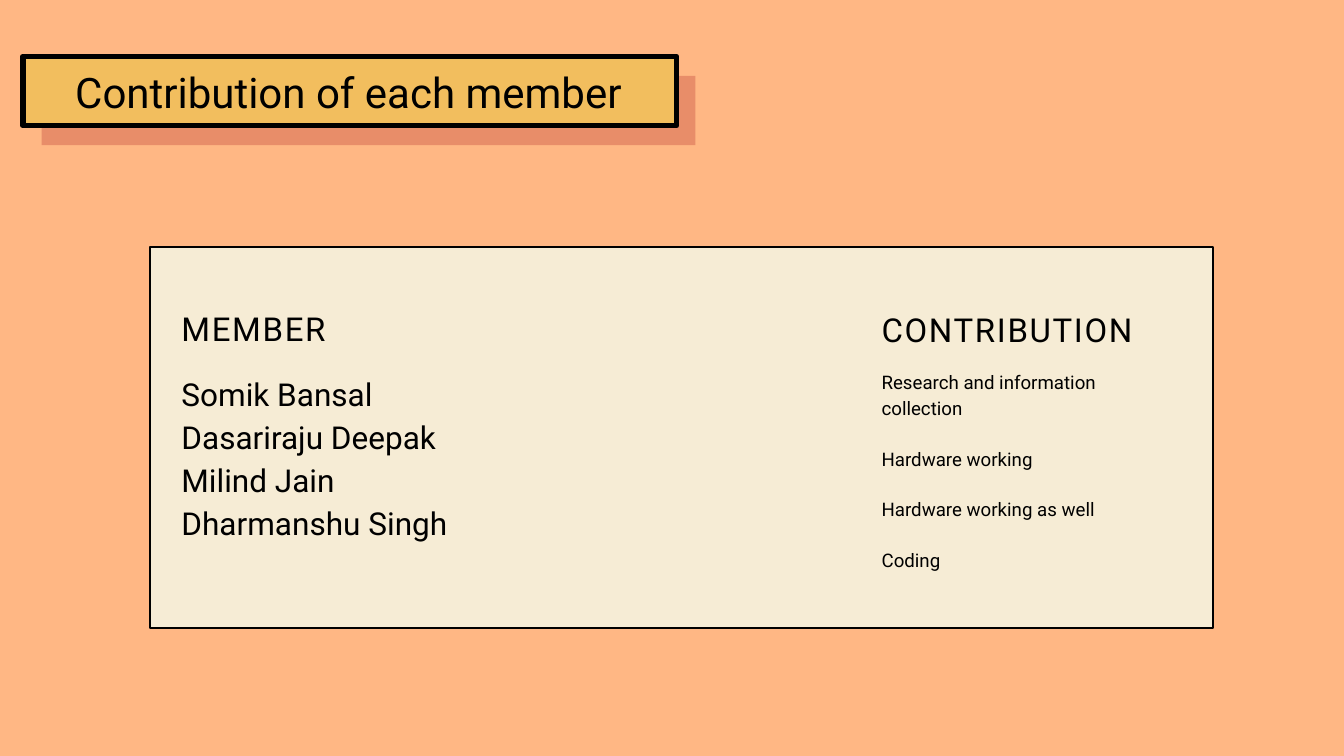
from pptx import Presentation
from pptx.dml.color import RGBColor
from pptx.enum.shapes import MSO_SHAPE
from pptx.enum.text import MSO_ANCHOR, MSO_AUTO_SIZE, PP_ALIGN
from pptx.oxml.ns import qn
from pptx.util import Pt

PEACH = RGBColor(0xFF, 0xB7, 0x84)
CORAL = RGBColor(0xE8, 0x8D, 0x69)
GOLD = RGBColor(0xF2, 0xBE, 0x5E)
CREAM = RGBColor(0xF6, 0xEC, 0xD5)
BLACK = RGBColor(0, 0, 0)
FONT = "Roboto"

MEMBERS = ["Somik Bansal", "Dasariraju Deepak", "Milind Jain", "Dharmanshu Singh"]
TASKS = [
    "Research and information collection",
    "Hardware working",
    "Hardware working as well",
    "Coding",
]


def add_rect(slide, left, top, width, height, fill, line=0):
    rect = slide.shapes.add_shape(
        MSO_SHAPE.RECTANGLE, Pt(left), Pt(top), Pt(width), Pt(height))
    rect.shadow.inherit = False
    rect.fill.solid()
    rect.fill.fore_color.rgb = fill
    if line:
        rect.line.color.rgb = BLACK
        rect.line.width = Pt(line)
    else:
        rect.line.fill.background()


def fill_text(frame, lines, size, pitch, gap=0, track=0):
    frame.margin_left = frame.margin_right = 0
    frame.margin_top = frame.margin_bottom = 0
    frame.word_wrap = True
    frame.auto_size = MSO_AUTO_SIZE.NONE
    frame.vertical_anchor = MSO_ANCHOR.TOP
    frame.text = "\n".join(lines)
    for index, para in enumerate(frame.paragraphs):
        para.alignment = PP_ALIGN.LEFT
        para.line_spacing = Pt(pitch)
        para.space_before = Pt(gap if index else 0)
        font = para.font
        font.name = FONT
        font.size = Pt(size)
        font.color.rgb = BLACK
        if track:
            props = para._p.get_or_add_pPr().find(qn("a:defRPr"))
            props.set("spc", str(track))


def add_text(slide, left, top, width, height, lines, size, pitch, gap=0, track=0):
    box = slide.shapes.add_textbox(Pt(left), Pt(top), Pt(width), Pt(height))
    fill_text(box.text_frame, lines, size, pitch, gap, track)


def add_head(slide, left, top, width, text):
    add_text(slide, left, top, width, 42.4, [text], 35.3, 42.4, track=180)


def set_title(slide, text):
    add_rect(slide, 44.7, 81.3, 700.5, 74.2, CORAL)
    add_rect(slide, 24.5, 60.5, 700.5, 74.2, GOLD, 6)
    title = slide.shapes.title
    title.left, title.top = Pt(80.6), Pt(62.6)
    title.width, title.height = Pt(687), Pt(60.5)
    fill_text(title.text_frame, [text], 45, 63)
    title.element.getparent().append(title.element)


def main():
    deck = Presentation()
    deck.slide_width, deck.slide_height = Pt(1440), Pt(810)
    slide = deck.slides.add_slide(deck.slide_layouts[5])
    slide.background.fill.solid()
    slide.background.fill.fore_color.rgb = PEACH
    set_title(slide, "Contribution of each member")
    add_rect(slide, 160.8, 264.5, 1139.2, 408.2, CREAM, 2)
    add_head(slide, 194.4, 330.5, 707, "MEMBER")
    add_text(slide, 194.4, 396.7, 707, 178, MEMBERS, 33.8, 45.9)
    add_head(slide, 944.6, 331.9, 316.8, "CONTRIBUTION")
    add_text(slide, 944.6, 394.6, 316.8, 252.7, TASKS, 20, 27.2, gap=27.2)
    deck.save("out.pptx")


if __name__ == "__main__":
    main()
